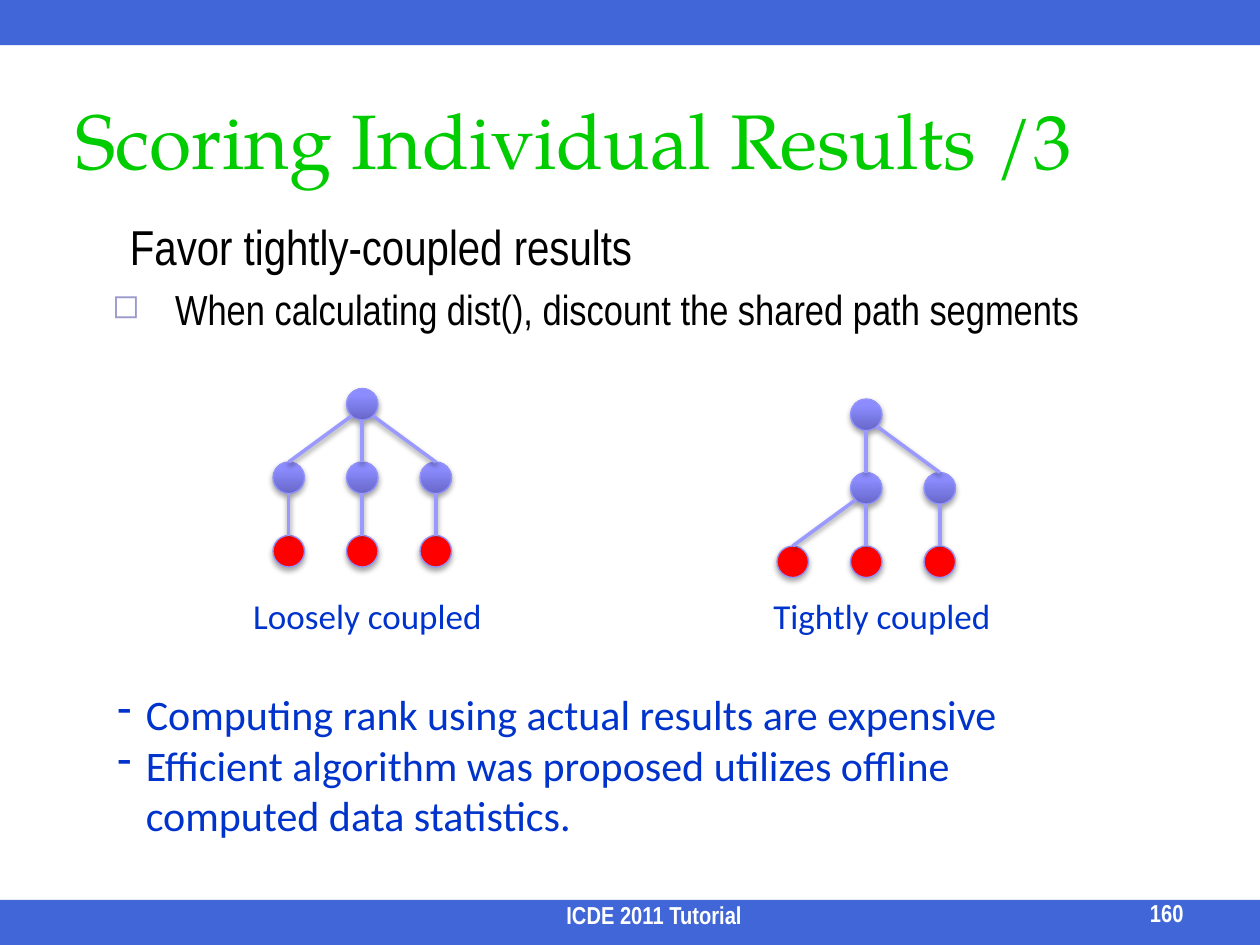
from lxml.etree import SubElement
from pptx import Presentation
from pptx.dml.color import RGBColor
from pptx.enum.shapes import MSO_CONNECTOR, MSO_SHAPE
from pptx.enum.text import MSO_ANCHOR, PP_ALIGN
from pptx.oxml.ns import qn
from pptx.util import Emu, Pt

SCALE = 7620
SIZE = 30
STEP = 70
BLUE = "0033CC"
NARROW = "Arial Narrow"


def px(num):
    return Emu(num * SCALE)


def color(code):
    return RGBColor.from_string(code)


def node(parent, tag, **attrs):
    return SubElement(parent, qn(tag), {key: str(val) for key, val in attrs.items()})


def shade(shape, alpha, dist):
    props = shape._element.spPr
    for old in props.findall(qn("a:effectLst")):
        props.remove(old)
    glow = node(node(props, "a:effectLst"), "a:outerShdw", blurRad=40000,
                dist=dist, dir=5400000, rotWithShape=0)
    node(node(glow, "a:srgbClr", val="000000"), "a:alpha", val=alpha)


def band(slide, top):
    bar = slide.shapes.add_shape(MSO_SHAPE.RECTANGLE, 0, px(top), px(1200), px(43))
    bar.shadow.inherit = False
    bar.fill.solid()
    bar.fill.fore_color.rgb = color(BLUE)
    node(bar._element.spPr.find(".//" + qn("a:srgbClr")), "a:alpha", val=75000)
    bar.line.fill.background()


def box(slide, left, top, width, height, anchor=MSO_ANCHOR.TOP):
    frame = slide.shapes.add_textbox(px(left), px(top), px(width), px(height)).text_frame
    frame.word_wrap = True
    frame.vertical_anchor = anchor
    return frame


def write(para, text, size, face, code, align=PP_ALIGN.LEFT, bold=False):
    para.alignment = align
    run = para.add_run()
    run.text = text
    run.font.size = Pt(size)
    run.font.name = face
    run.font.bold = bold
    run.font.color.rgb = color(code)


def indent(para, left, first):
    props = para._p.get_or_add_pPr()
    props.set("marL", str(px(left)))
    props.set("indent", str(px(first)))
    return props


def bullet(props, mark, code=None, size=100):
    if code:
        node(node(props, "a:buClr"), "a:srgbClr", val=code)
    node(props, "a:buSzPct", val=size * 1000)
    node(props, "a:buChar", char=mark)


def dot(slide, left, top, leaf):
    disc = slide.shapes.add_shape(MSO_SHAPE.OVAL, px(left), px(top), px(SIZE), px(SIZE))
    if leaf:
        disc.fill.solid()
        disc.fill.fore_color.rgb = color("FF0000")
    else:
        disc.fill.gradient()
        disc.fill.gradient_angle = 90
        for stop, (place, code) in zip(disc.fill.gradient_stops,
                                       [(0, "6767CA"), (0.8, "8C8CFF")]):
            stop.position = place
            stop.color.rgb = color(code)
    disc.line.color.rgb = color("9393FC")
    disc.line.width = Pt(0.75)
    shade(disc, 35000, 23000)


def edge(slide, left, top, shift):
    half = SIZE // 2
    start = left + half
    side = (shift > 0) - (shift < 0)
    drop = SIZE - 4 if side else SIZE
    line = slide.shapes.add_connector(
        MSO_CONNECTOR.STRAIGHT, px(start + side * 10), px(top + drop),
        px(start + shift * STEP), px(top + STEP))
    line.line.color.rgb = color("9999FF")
    line.line.width = Pt(2)
    shade(line, 38000, 20000)


def tree(slide, left, top, dots, links):
    for row, col in dots:
        dot(slide, left + col * STEP, top + row * STEP, row == 2)
    for row, col, shift in links:
        edge(slide, left + col * STEP, top + row * STEP, shift)


def main():
    deck = Presentation()
    deck.slide_width, deck.slide_height = px(1200), px(900)
    slide = deck.slides.add_slide(deck.slide_layouts[6])
    for top in (857, 0):
        band(slide, top)

    title = box(slide, 60, 60, 1080, 144, MSO_ANCHOR.MIDDLE)
    write(title.paragraphs[0], "Scoring Individual Results /3", 44,
          "TeX Gyre Pagella", "00CC00")

    body = box(slide, 60, 200, 1080, 590)
    head = body.paragraphs[0]
    indent(head, 112, -60)
    write(head, "Favor tightly-coupled results", 28, NARROW, "000000")
    point = body.add_paragraph()
    point.space_before = Pt(5)
    bullet(indent(point, 95, -60), "◻", "9999CC", 80)
    write(point, "When calculating dist(), discount the shared path segments",
          24, NARROW, "000000")

    leaves = [(2, -1), (2, 0), (2, 1)]
    drops = [(1, 0, 0), (1, 1, 0), (0, 0, 0), (0, 0, 1)]
    tree(slide, 330, 370, [(0, 0), (1, -1), (1, 0), (1, 1)] + leaves,
         drops + [(0, 0, -1), (1, -1, 0)])
    tree(slide, 810, 380, [(0, 0), (1, 0), (1, 1)] + leaves,
         drops + [(1, 0, -1)])

    for left, text in ((200, "Loosely coupled"), (690, "Tightly coupled")):
        label = box(slide, left, 560, 300, 53)
        write(label.paragraphs[0], text, 20, "Calibri", BLUE, PP_ALIGN.CENTER)

    notes = box(slide, 100, 650, 990, 157)
    lines = ("Computing rank using actual results are expensive",
             "Efficient algorithm was proposed utilizes offline computed data statistics.")
    for num, text in enumerate(lines):
        para = notes.add_paragraph() if num else notes.paragraphs[0]
        bullet(indent(para, 27, -27), "-")
        write(para, text, 24, "Calibri", BLUE)

    for spot, text, align in (
            ((278, 862, 690, 29), "ICDE 2011 Tutorial", PP_ALIGN.CENTER),
            ((988, 860, 151, 29), "160", PP_ALIGN.RIGHT)):
        foot = box(slide, *spot, MSO_ANCHOR.BOTTOM)
        write(foot.paragraphs[0], text, 14, NARROW, "FFFFFF", align, True)

    deck.save("out.pptx")


if __name__ == "__main__":
    main()
